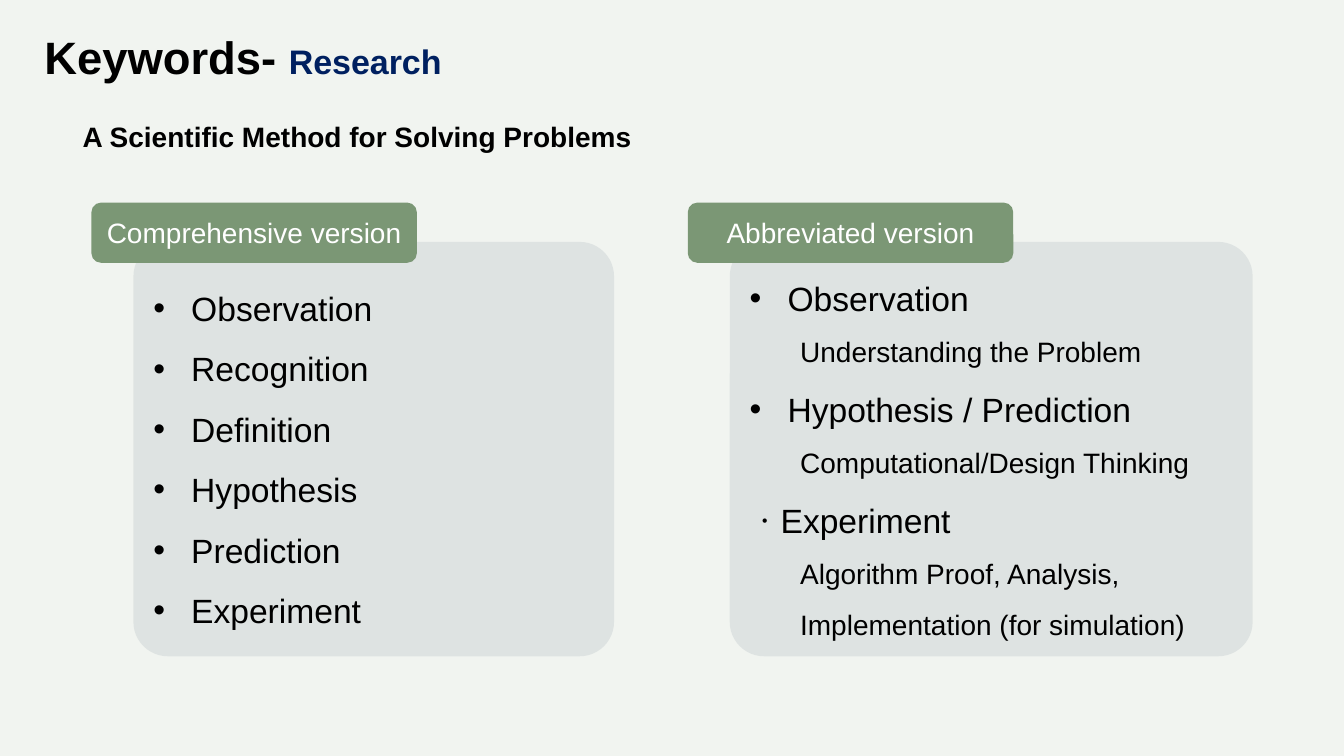
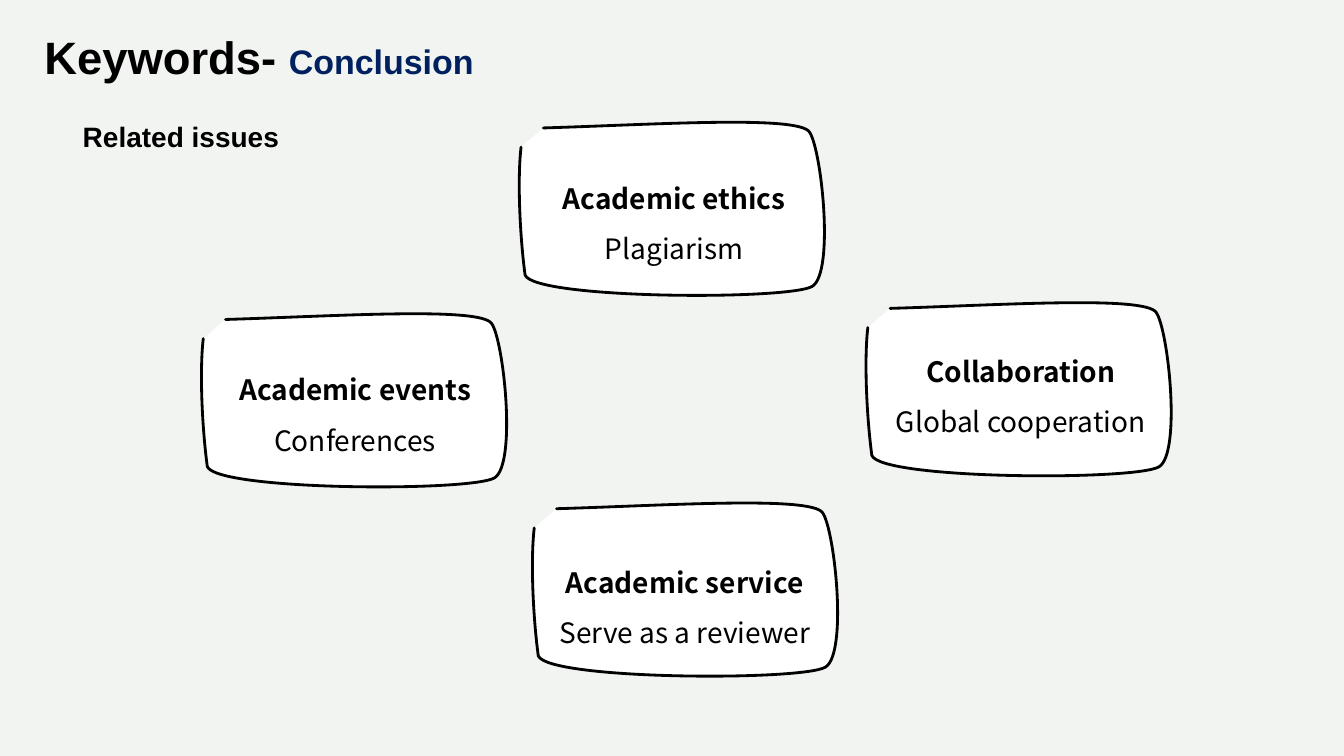
from lxml import etree
from pptx import Presentation
from pptx.dml.color import RGBColor
from pptx.enum import shapes, text
from pptx.oxml import ns
from pptx.util import Pt

COLORS = {
    "green": "7B9775",
    "slate": "778495",
    "navy": "002060",
    "black": "000000",
    "white": "FFFFFF",
}
SANS = "Arial"
CARD_FONT = "Noto Sans CJK JP"
PAGE_SIZE = (960, 540)

# Hand-drawn card outline: a start point, then cubic curves, in points
CARD_SIZE = (217.4, 123.8)
CARD_START = (17.3, 4.3)
CARD_CURVES = [
    ((95, 2), (199.4, -5), (207.4, 7.2)),
    ((216, 19.4), (225.4, 107.3), (209.5, 117.4)),
    ((193, 127.4), (11.5, 126.7), (4.3, 109.4)),
    ((0.7, 82.8), (-1.4, 41.8), (1.4, 18)),
]


def color(name):
    return RGBColor.from_string(COLORS[name])


def set_font(font, size, name=SANS, tint="black", bold=False):
    font.size, font.name, font.bold = Pt(size), name, bold
    font.color.rgb = color(tint)


def paint(box, fill, opacity=100):
    box.shadow.inherit = False
    box.fill.solid()
    box.fill.fore_color.rgb = color(fill)
    if opacity < 100:
        tint = box.element.spPr.find(".//" + ns.qn("a:srgbClr"))
        etree.SubElement(tint, ns.qn("a:alpha"), val=str(opacity * 1000))


def prepare(frame, anchor=text.MSO_ANCHOR.TOP):
    frame.word_wrap = True
    frame.auto_size = text.MSO_AUTO_SIZE.NONE
    frame.vertical_anchor = anchor


def write_lines(frame, count):
    """Return the wanted number of paragraphs, at 1.5 line spacing."""
    paras = [frame.paragraphs[0]]
    paras += [frame.add_paragraph() for _ in range(count - 1)]
    for para in paras:
        para.line_spacing = 1.5
    return paras


def indent(para, left, first=0, bullet=None):
    props = para._p.get_or_add_pPr()
    props.set("marL", str(Pt(left)))
    props.set("indent", str(Pt(first)))
    if bullet:
        etree.SubElement(props, ns.qn("a:buFont"), typeface=SANS)
        etree.SubElement(props, ns.qn("a:buChar"), char=bullet)


def add_rounded(page, left, top, width, height, radius, fill, opacity=100):
    box = page.shapes.add_shape(shapes.MSO_SHAPE.ROUNDED_RECTANGLE,
                                Pt(left), Pt(top), Pt(width), Pt(height))
    box.adjustments[0] = radius
    box.line.fill.background()
    paint(box, fill, opacity)
    prepare(box.text_frame, text.MSO_ANCHOR.MIDDLE)
    return box


def tint_master(deck, page):
    """Lay a pale green sheet on the master, behind its placeholders."""
    width, height = PAGE_SIZE
    sheet = page.shapes.add_shape(shapes.MSO_SHAPE.RECTANGLE,
                                  0, 0, Pt(width), Pt(height))
    sheet.line.fill.background()
    paint(sheet, "green", opacity=10)
    deck.slide_master.shapes.element.insert(2, sheet.element)


def add_page(deck, topic, subtitle):
    """Page with the shared title and subtitle."""
    page = deck.slides.add_slide(deck.slide_layouts[5])

    # Title
    title = page.shapes.title
    title.left, title.top = Pt(24.5), Pt(21)
    title.width, title.height = Pt(855.5), Pt(43)
    prepare(title.text_frame, text.MSO_ANCHOR.BOTTOM)
    para = title.text_frame.paragraphs[0]
    para.alignment = text.PP_ALIGN.LEFT
    para.line_spacing = 0.9
    for words, size, tint in (("Keywords- ", 32.4, "black"), (topic, 24.3, "navy")):
        span = para.add_run()
        span.text = words
        set_font(span.font, size, tint=tint, bold=True)

    # Subtitle
    box = page.shapes.add_textbox(Pt(52), Pt(70), Pt(774), Pt(39))
    prepare(box.text_frame)
    para, = write_lines(box.text_frame, 1)
    para.text = subtitle
    set_font(para.font, 20, bold=True)
    return page


def add_version(page, left, top, width, heading, items):
    """Pale panel with a list, and a green tag over its top left corner."""
    panel = add_rounded(page, left + 30, top + 28.1, width - 30, 296,
                        0.083, "slate", opacity=15)
    paras = write_lines(panel.text_frame, len(items))
    for para, (style, words) in zip(paras, items):
        para.text = words
        para.alignment = text.PP_ALIGN.LEFT
        if style == "bullet":
            indent(para, 27, -27, "•")
        elif style == "detail":
            para.level = 1
            indent(para, 36)
        set_font(para.font, 20 if style == "detail" else 24)

    # Tag
    tag = add_rounded(page, left, top, 232.5, 43, 0.159, "green")
    tag.text_frame.margin_left = tag.text_frame.margin_right = Pt(6)
    para = tag.text_frame.paragraphs[0]
    para.text = heading
    para.alignment = text.PP_ALIGN.CENTER
    set_font(para.font, 20, tint="white")


def curve_outline(card):
    """Give a freeform the curved card outline and its size."""
    card.width, card.height = (Pt(side) for side in CARD_SIZE)
    outline = card.element.spPr.find(".//" + ns.qn("a:path"))
    outline.set("w", str(card.width))
    outline.set("h", str(card.height))
    for segment in list(outline):
        outline.remove(segment)
    for tag, points in [("a:moveTo", [CARD_START])] + [
            ("a:cubicBezTo", curve) for curve in CARD_CURVES]:
        segment = etree.SubElement(outline, ns.qn(tag))
        for x, y in points:
            etree.SubElement(segment, ns.qn("a:pt"), x=str(Pt(x)), y=str(Pt(y)))


def add_card(page, left, top, text_box, heading, detail):
    """Hand-drawn card with a bold heading and one line below it."""
    group = page.shapes.add_group_shape()

    # Outline
    builder = group.shapes.build_freeform(*(Pt(value) for value in CARD_START))
    corners = [tuple(Pt(value) for value in curve[-1]) for curve in CARD_CURVES]
    builder.add_line_segments(corners, close=False)
    card = builder.convert_to_shape()
    card.left, card.top = Pt(left), Pt(top)
    curve_outline(card)
    paint(card, "white")
    card.line.color.rgb = color("black")
    card.line.width = Pt(2)
    card.element.spPr.find(ns.qn("a:ln")).set("cap", "rnd")

    # Text
    inset, drop, width = text_box
    box = group.shapes.add_textbox(Pt(left + inset), Pt(top + drop),
                                   Pt(width), Pt(75.6))
    prepare(box.text_frame)
    paras = write_lines(box.text_frame, 2)
    for para, words, bold in zip(paras, (heading, detail), (True, False)):
        para.text = words
        para.alignment = text.PP_ALIGN.CENTER
        set_font(para.font, 20, CARD_FONT, bold=bold)


def main():
    deck = Presentation()
    deck.slide_width, deck.slide_height = (Pt(side) for side in PAGE_SIZE)

    # Research
    page = add_page(deck, "Research", "A Scientific Method for Solving Problems")
    tint_master(deck, page)
    steps = ("Observation", "Recognition", "Definition",
             "Hypothesis", "Prediction", "Experiment")
    add_version(page, 65.3, 144.7, 373.3, "Comprehensive version",
                [("bullet", step) for step in steps])
    add_version(page, 491.3, 144.7, 403.5, "Abbreviated version", [
        ("bullet", "Observation"),
        ("detail", "Understanding the Problem"),
        ("bullet", "Hypothesis / Prediction"),
        ("detail", "Computational/Design Thinking"),
        ("plain", "ㆍExperiment"),
        ("detail", "Algorithm Proof, Analysis, Implementation (for simulation)"),
    ])

    # Conclusion
    page = add_page(deck, "Conclusion", "Related issues")
    for card in (
        (370.8, 87.1, (3.8, 26.7, 214), "Academic ethics", "Plagiarism"),
        (143.8, 223.9, (10.8, 26.7, 198), "Academic events", "Conferences"),
        (380.2, 359.1, (10, 29, 198), "Academic service", "Serve as a reviewer"),
        (618.5, 216, (5.9, 21.7, 209.5), "Collaboration", "Global cooperation"),
    ):
        add_card(page, *card)

    deck.save("out.pptx")


if __name__ == "__main__":
    main()
